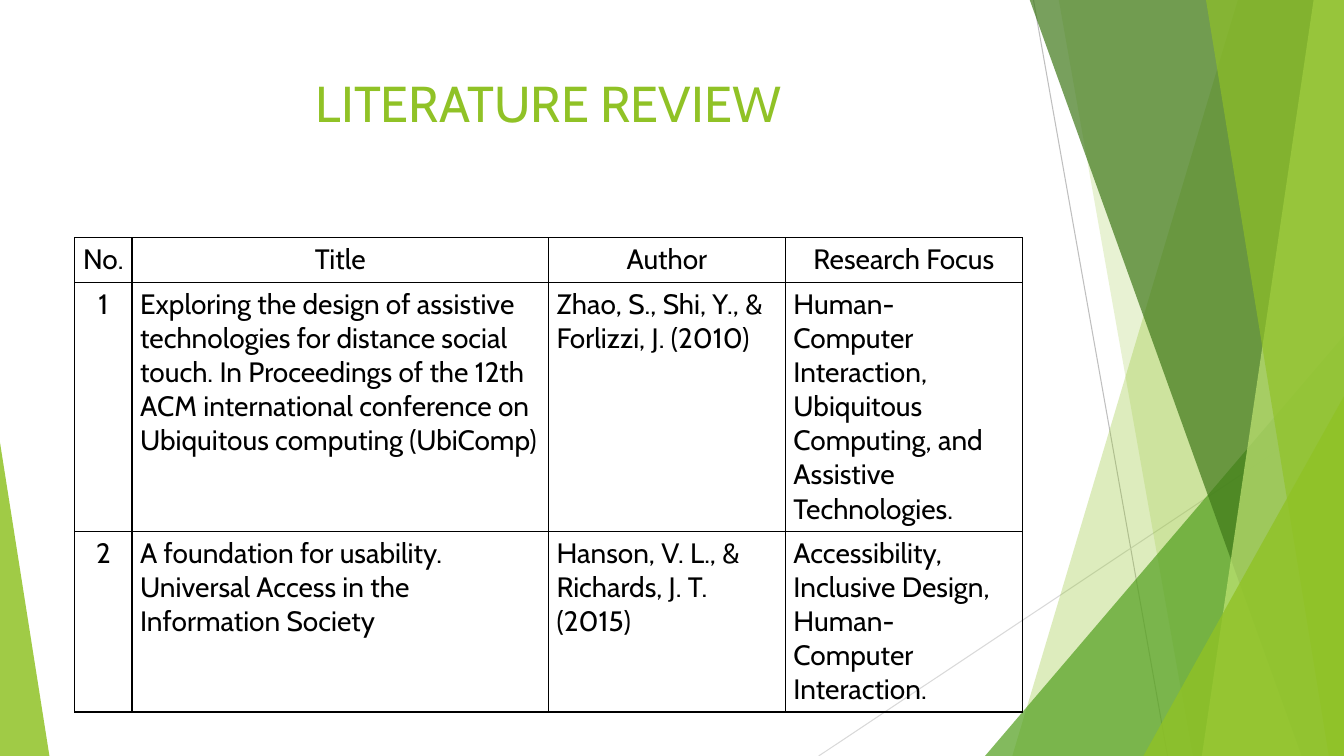
from lxml import etree
from pptx import Presentation
from pptx.dml.color import RGBColor
from pptx.enum.shapes import MSO_CONNECTOR as Connector, MSO_SHAPE as Shape
from pptx.enum.text import MSO_ANCHOR as Anchor, MSO_AUTO_SIZE as AutoSize, PP_ALIGN as Align
from pptx.oxml.ns import qn
from pptx.util import Inches, Pt

FONT = "Cabin"
GREEN = "90C226"
WIDTH, HEIGHT = 13.33, 7.5

REVIEW = [
    ("No.", "Title", "Author", "Research Focus"),
    ("1",
     "Exploring the design of assistive technologies for distance social touch. "
     "In Proceedings of the 12th ACM international conference on Ubiquitous computing (UbiComp)",
     "Zhao, S., Shi, Y., & Forlizzi, J. (2010)",
     "Human-Computer Interaction, Ubiquitous Computing, and Assistive Technologies."),
    ("2",
     "A foundation for usability. Universal Access in the Information Society",
     "Hanson, V. L., & Richards, J. T. (2015)",
     "Accessibility, Inclusive Design, Human-Computer Interaction."),
]
COLUMN_WIDTHS = (0.57, 4.13, 2.35, 2.35)
ROW_HEIGHTS = (0.43, 2.47, 1.79)


def color(value):
    return RGBColor.from_string(value)


def write(frame, text, size=20, fill="000000", align=Align.LEFT):
    paragraph = frame.paragraphs[0]
    paragraph.alignment = align
    run = paragraph.add_run()
    run.text = text
    run.font.name = FONT
    run.font.size = Pt(size)
    run.font.color.rgb = color(fill)


def paint(facet, fill, opacity):
    facet.shadow.inherit = False
    facet.line.fill.background()
    facet.fill.solid()
    facet.fill.fore_color.rgb = color(fill)
    tint = facet.fill._xPr.find(qn("a:solidFill"))[0]
    etree.SubElement(tint, qn("a:alpha"), val=str(opacity * 1000))


def add_ray(slide, start, end, stroke):
    ray = slide.shapes.add_connector(
        Connector.STRAIGHT, *(Inches(value) for value in start + end))
    ray.line.color.rgb = color(stroke)
    ray.line.width = Pt(0.75)
    etree.SubElement(ray._element.spPr, qn("a:effectLst"))


def add_band(slide, right, top_x, bottom_x, fill, opacity):
    top, bottom = -0.01, HEIGHT
    corners = [(Inches(x), Inches(y)) for x, y in
               ((top_x, top), (right, top), (right, bottom), (bottom_x, bottom))]
    builder = slide.shapes.build_freeform(*corners[0], scale=1.0)
    builder.add_line_segments(corners[1:], close=True)
    paint(builder.convert_to_shape(), fill, opacity)


def add_wedge(slide, left, top, width, apex, fill, opacity):
    wedge = slide.shapes.add_shape(
        Shape.ISOSCELES_TRIANGLE, Inches(left), Inches(top),
        Inches(width), Inches(HEIGHT - top))
    wedge.adjustments[0] = apex
    paint(wedge, fill, opacity)


def add_backdrop(slide, right):
    add_ray(slide, (right - 3.08, 0), (right - 1.75, HEIGHT), "BFBFBF")
    add_ray(slide, (right, 4.03), (right - 5.21, HEIGHT), "D9D9D9")
    add_band(slide, right, 12.28, 10.04, GREEN, 30)
    add_band(slide, right, 10.5, 11.83, GREEN, 20)
    add_wedge(slide, right - 3.56, 3.33, 3.56, 1, "54A021", 72)
    add_band(slide, right, 10.21, 12.91, "3F7819", 70)
    add_band(slide, right, 13.03, 11.92, "C0E474", 70)
    add_band(slide, right, 11.96, 13.18, GREEN, 65)
    add_wedge(slide, right - 1.99, 3.93, 1.99, 1, GREEN, 80)
    add_wedge(slide, 0, 4.39, 0.49, 0, GREEN, 85)


def add_title(slide, left, top, width, height):
    title = slide.shapes.title
    title.left, title.top = Inches(left), Inches(top)
    title.width, title.height = Inches(width), Inches(height)
    frame = title.text_frame
    frame.word_wrap = True
    frame.auto_size = AutoSize.NONE
    frame.vertical_anchor = Anchor.TOP
    write(frame, "LITERATURE REVIEW", size=36, fill=GREEN, align=Align.CENTER)


def add_borders(cell):
    properties = cell._tc.get_or_add_tcPr()
    for position, side in enumerate(("lnL", "lnR", "lnT", "lnB")):
        border = etree.Element(qn(f"a:{side}"), w=str(Pt(1)))
        solid = etree.SubElement(border, qn("a:solidFill"))
        etree.SubElement(solid, qn("a:srgbClr"), val="000000")
        properties.insert(position, border)


def add_review(slide, left, top, width, height):
    review = slide.shapes.add_table(
        len(REVIEW), len(COLUMN_WIDTHS), Inches(left), Inches(top),
        Inches(width), Inches(height)).table
    review.horz_banding = False
    review.first_row = False
    for column, share in zip(review.columns, COLUMN_WIDTHS):
        column.width = Inches(width * share / sum(COLUMN_WIDTHS))
    for row, share in zip(review.rows, ROW_HEIGHTS):
        row.height = Inches(height * share / sum(ROW_HEIGHTS))
    for row_index, entries in enumerate(REVIEW):
        for column_index, entry in enumerate(entries):
            cell = review.cell(row_index, column_index)
            cell.fill.background()
            cell.margin_left = cell.margin_right = Inches(0.08)
            cell.margin_top = cell.margin_bottom = Inches(0.05)
            centred = row_index == 0 or column_index == 0
            write(cell.text_frame, entry, align=Align.CENTER if centred else Align.LEFT)
            add_borders(cell)


def main():
    deck = Presentation()
    deck.slide_width, deck.slide_height = Inches(WIDTH), Inches(HEIGHT)
    slide = deck.slides.add_slide(deck.slide_layouts[5])
    add_backdrop(slide, WIDTH)
    add_title(slide, 0.74, 0.67, 9.4, 1.44)
    add_review(slide, 0.74, 2.36, sum(COLUMN_WIDTHS), sum(ROW_HEIGHTS))
    deck.save("out.pptx")


if __name__ == "__main__":
    main()
